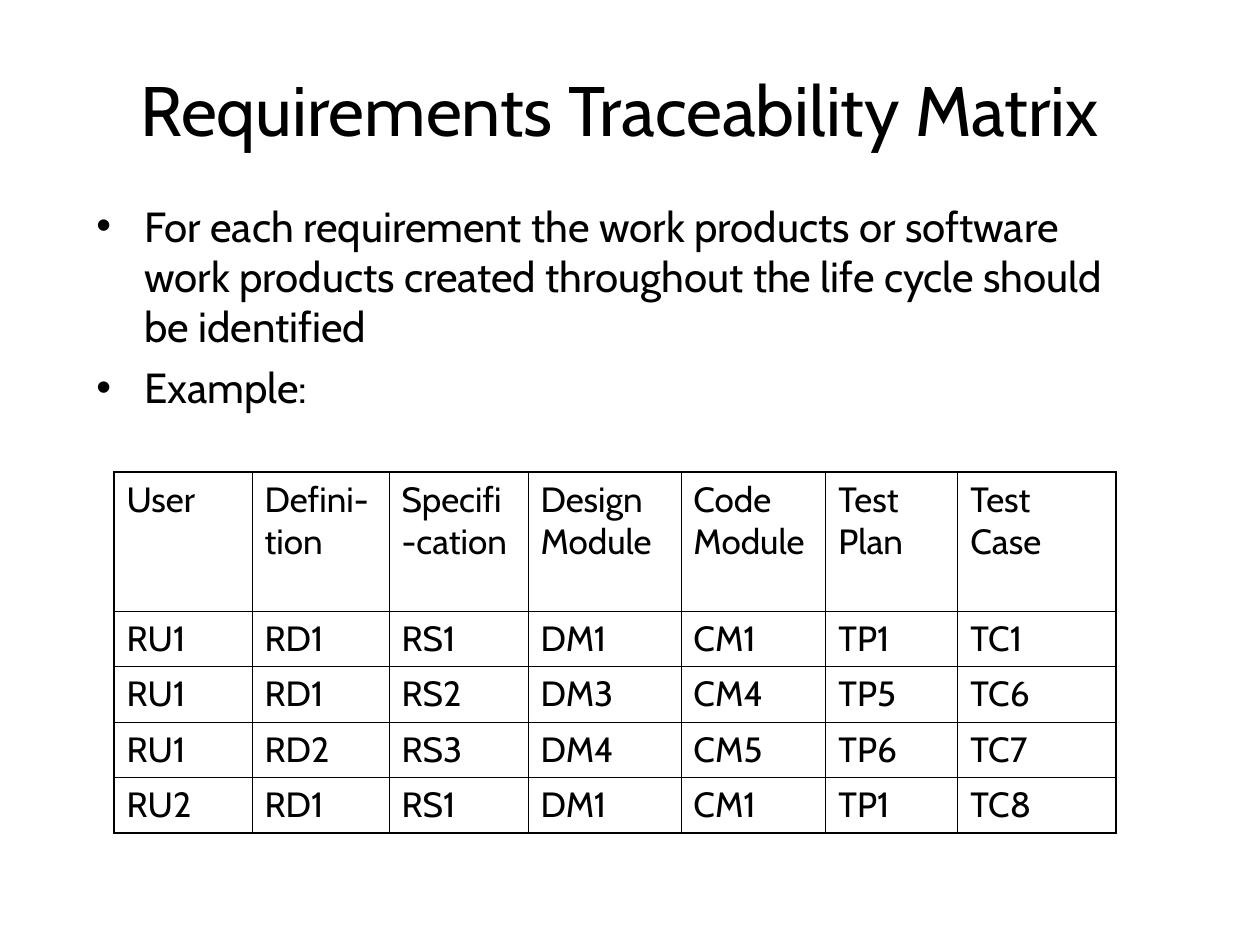
from dataclasses import dataclass

from lxml import etree
from pptx import Presentation
from pptx.dml.color import RGBColor
from pptx.enum.text import MSO_ANCHOR, MSO_AUTO_SIZE, PP_ALIGN
from pptx.oxml.ns import qn
from pptx.util import Emu, Pt

CENTER, LEFT = PP_ALIGN.CENTER, PP_ALIGN.LEFT
TOP, MIDDLE = MSO_ANCHOR.TOP, MSO_ANCHOR.MIDDLE
NO_AUTOFIT = MSO_AUTO_SIZE.NONE

EMU_PER_PX = 914400 // 126
FONT = "Cabin"
COLORS = {"ink": "000000"}
THIN, THICK = Pt(0.45), Pt(1.08)
TITLE_ONLY = 5


@dataclass(frozen=True)
class Area:
    left: int
    top: int
    width: int
    height: int

    def emu(self) -> list[Emu]:
        return [px(n) for n in (self.left, self.top, self.width, self.height)]


TITLE_AREA = Area(84, 55, 1071, 106)
BODY_AREA = Area(84, 194, 1042, 229)
TABLE_AREA = Area(114, 472, 1002, 361)
BULLET_INDENT = 48

COLUMN_WIDTHS = (138, 137, 139, 153, 145, 132, 158)
ROW_HEIGHTS = (139, 55, 56, 55, 56)

TITLE = "Requirements Traceability Matrix"
BULLETS = (
    "For each requirement the work products or software work products "
    "created throughout the life cycle should be identified",
    "Example:",
)
MATRIX = (
    ("User", "Defini-tion", "Specifi-cation", "Design Module",
     "Code Module", "Test Plan", "Test Case"),
    ("RU1", "RD1", "RS1", "DM1", "CM1", "TP1", "TC1"),
    ("RU1", "RD1", "RS2", "DM3", "CM4", "TP5", "TC6"),
    ("RU1", "RD2", "RS3", "DM4", "CM5", "TP6", "TC7"),
    ("RU2", "RD1", "RS1", "DM1", "CM1", "TP1", "TC8"),
)


def px(length: int) -> Emu:
    return Emu(length * EMU_PER_PX)


def write(para, text: str, size: int, align=LEFT) -> None:
    para.alignment = align
    span = para.add_run()
    span.text = text
    span.font.name = FONT
    span.font.size = Pt(size)
    span.font.color.rgb = RGBColor.from_string(COLORS["ink"])


def add_bullet(para) -> None:
    properties = para._p.get_or_add_pPr()
    properties.set("marL", str(px(BULLET_INDENT)))
    properties.set("indent", str(-px(BULLET_INDENT)))
    etree.SubElement(properties, qn("a:buFont"), typeface="Arial")
    etree.SubElement(properties, qn("a:buChar"), char="•")


def set_borders(cell, widths: dict[str, Emu]) -> None:
    properties = cell._tc.get_or_add_tcPr()
    for side, width in widths.items():
        line = etree.SubElement(properties, qn(f"a:ln{side}"), w=str(width))
        fill = etree.SubElement(line, qn("a:solidFill"))
        etree.SubElement(fill, qn("a:srgbClr"), val=COLORS["ink"])


def add_title(page) -> None:
    title = page.shapes.title
    title.left, title.top, title.width, title.height = TITLE_AREA.emu()
    frame = title.text_frame
    frame.auto_size = NO_AUTOFIT
    frame.vertical_anchor = MIDDLE
    write(frame.paragraphs[0], TITLE, 40, CENTER)


def add_body(page) -> None:
    frame = page.shapes.add_textbox(*BODY_AREA.emu()).text_frame
    frame.word_wrap = True
    frame.vertical_anchor = TOP
    for index, text in enumerate(BULLETS):
        para = frame.add_paragraph() if index else frame.paragraphs[0]
        add_bullet(para)
        if index:
            para.space_before = Pt(6)
        write(para, text, 24)


def add_matrix(page) -> None:
    rows, columns = len(MATRIX), len(COLUMN_WIDTHS)
    table = page.shapes.add_table(rows, columns, *TABLE_AREA.emu()).table
    table.first_row = table.horz_banding = False
    for column, width in zip(table.columns, COLUMN_WIDTHS):
        column.width = px(width)
    for row, height in zip(table.rows, ROW_HEIGHTS):
        row.height = px(height)
    for r, texts in enumerate(MATRIX):
        for c, text in enumerate(texts):
            cell = table.cell(r, c)
            set_borders(cell, {
                "L": THICK if c == 0 else THIN,
                "R": THICK if c == columns - 1 else THIN,
                "T": THICK if r == 0 else THIN,
                "B": THICK if r == rows - 1 else THIN,
            })
            cell.fill.background()
            write(cell.text_frame.paragraphs[0], text, 20)


def main() -> None:
    deck = Presentation()
    deck.slide_width, deck.slide_height = px(1260), px(945)
    page = deck.slides.add_slide(deck.slide_layouts[TITLE_ONLY])
    add_title(page)
    add_body(page)
    add_matrix(page)
    deck.save("out.pptx")


if __name__ == "__main__":
    main()
